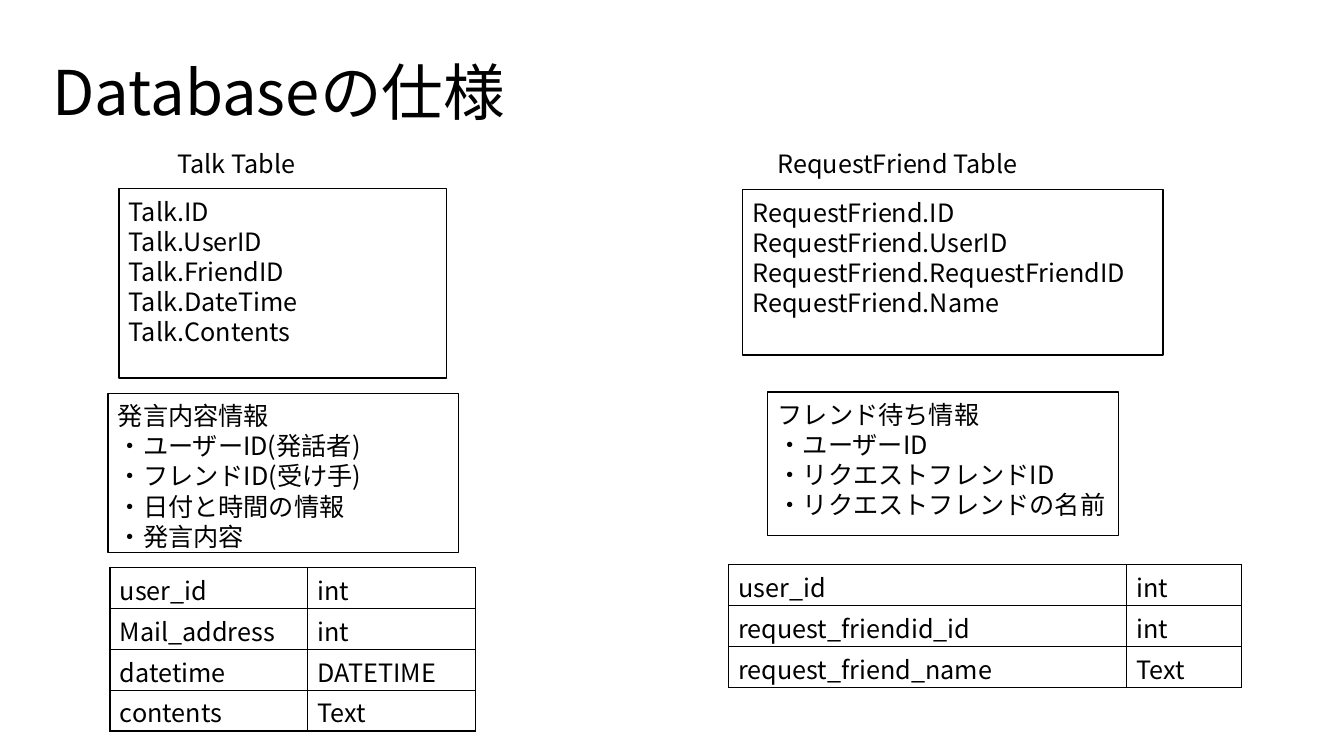
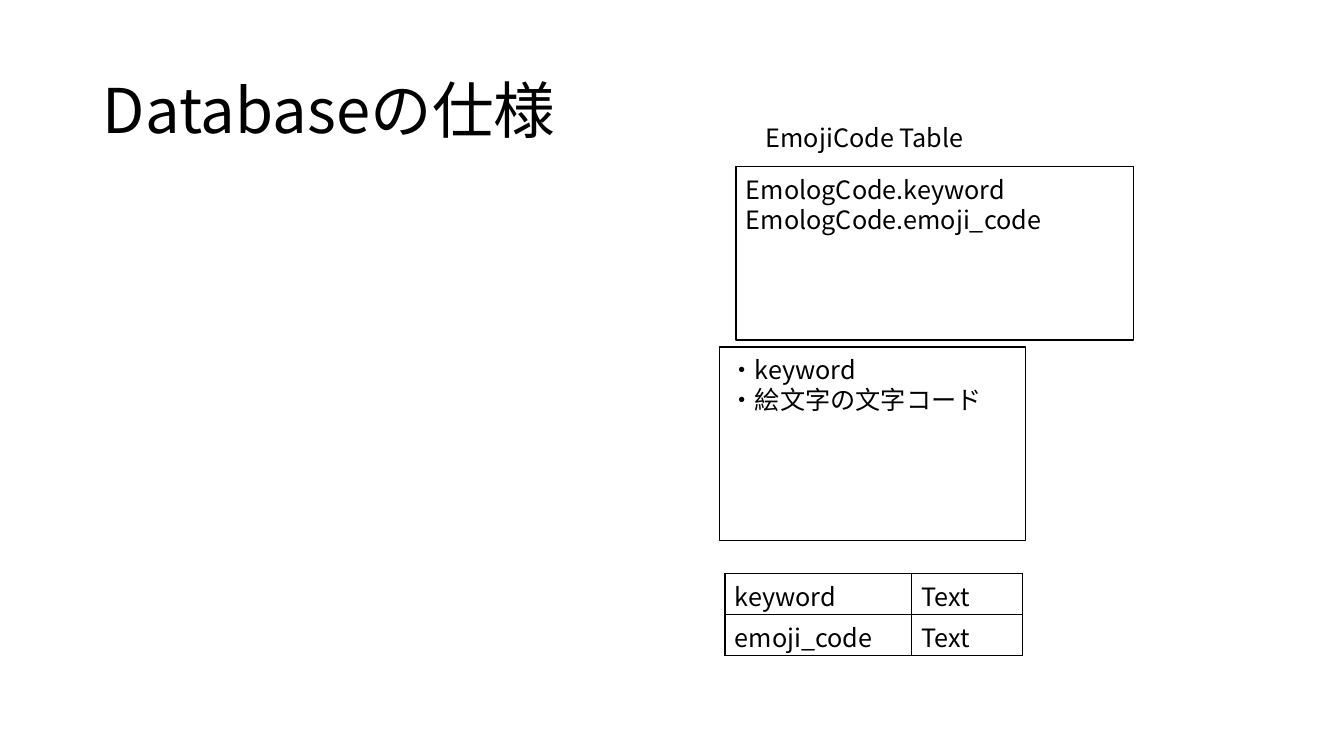
from dataclasses import dataclass

from lxml import etree
from pptx import Presentation
from pptx import util as u
from pptx.dml.color import RGBColor
from pptx.enum import shapes, text
from pptx.oxml.ns import qn

COLORS = {"ink": "000000", "paper": "FFFFFF"}
FONT = "Noto Sans CJK JP"
TITLE = "Databaseの仕様"
ROW_HEIGHT = 1.03
INSET = {"side": 0.25, "top": 0.19, "cell_top": 0.25}


@dataclass
class Entity:
    """One database table; boxes are left, top, width, height from its corner in cm."""
    name: str
    corner: tuple
    name_box: tuple
    fields_box: tuple
    fields: list
    details_box: tuple
    details: list
    schema_at: tuple
    columns: tuple
    schema: list


TALK = Entity(
    "Talk Table", (2.72, 3.56), (1.5, 0, 3.96, 1.02),
    (0.28, 1.19, 8.26, 4.78),
    ["Talk.ID", "Talk.UserID", "Talk.FriendID", "Talk.DateTime", "Talk.Contents"],
    (0, 6.35, 8.84, 4.01),
    ["発言内容情報", "・ユーザーID(発話者)", "・フレンドID(受け手)",
     "・日付と時間の情報", "・発言内容"],
    (0.05, 10.74), (4.98, 4.24),
    [("user_id", "int"), ("Mail_address", "int"),
     ("datetime", "DATETIME"), ("contents", "Text")])

REQUEST = Entity(
    "RequestFriend Table", (18.36, 3.56), (0.99, 0, 7.62, 1.02),
    (0.36, 1.22, 10.59, 4.17),
    ["RequestFriend.ID", "RequestFriend.UserID",
     "RequestFriend.RequestFriendID", "RequestFriend.Name"],
    (0.99, 6.32, 8.84, 3.61),
    ["フレンド待ち情報", "・ユーザーID", "・リクエストフレンドID",
     "・リクエストフレンドの名前"],
    (0, 10.67), (10.03, 2.9),
    [("user_id", "int"), ("request_friendid_id", "int"),
     ("request_friend_name", "Text")])

EMOJI = Entity(
    "EmojiCode Table", (18.14, 2.9), (0.91, 0, 7.72, 1.02),
    (0.41, 1.3, 10.01, 4.37),
    ["EmologCode.keyword", "EmologCode.emoji_code"],
    (0, 5.84, 7.7, 4.88),
    ["・keyword", "・絵文字の文字コード"],
    (0.13, 11.56), (4.7, 2.79),
    [("keyword", "Text"), ("emoji_code", "Text")])


def color(name):
    """Return a named colour."""
    return RGBColor.from_string(COLORS[name])


def lengths(box, corner=(0, 0)):
    """Turn a box relative to a corner into lengths."""
    left, top, *size = box
    return [u.Cm(value) for value in (left + corner[0], top + corner[1], *size)]


def write(frame, lines, size=18, spacing=u.Pt(21.5)):
    """Fill a text frame with one paragraph per line."""
    for index, line in enumerate(lines):
        para = frame.add_paragraph() if index else frame.paragraphs[0]
        para.alignment = text.PP_ALIGN.LEFT
        para.line_spacing = spacing
        span = para.add_run()
        span.text = line
        span.font.size = u.Pt(size)
        span.font.name = FONT
        span.font.color.rgb = color("ink")
        east = etree.SubElement(span.font._element, qn("a:ea"))
        east.set("typeface", FONT)


def set_insets(target, top):
    """Set the side and top insets of a frame or cell."""
    target.margin_left = target.margin_right = u.Cm(INSET["side"])
    target.margin_top = u.Cm(top)
    target.margin_bottom = 0


def add_title(slide, box):
    """Place and format the title placeholder."""
    title = slide.shapes.title
    title.left, title.top, title.width, title.height = lengths(box)
    frame = title.text_frame
    frame.auto_size = text.MSO_AUTO_SIZE.NONE
    frame.vertical_anchor = text.MSO_ANCHOR.MIDDLE
    write(frame, [TITLE], size=44, spacing=0.9)


def add_name(slide, corner, box, name):
    """Add the name above an entity."""
    frame = slide.shapes.add_textbox(*lengths(box, corner)).text_frame
    frame.word_wrap = True
    set_insets(frame, INSET["top"])
    write(frame, [name])


def add_list_box(slide, corner, box, lines):
    """Add an outlined rectangle holding lines of text."""
    panel = slide.shapes.add_shape(
        shapes.MSO_SHAPE.RECTANGLE, *lengths(box, corner))
    panel.shadow.inherit = False
    panel.fill.solid()
    panel.fill.fore_color.rgb = color("paper")
    panel.line.color.rgb = color("ink")
    panel.line.width = u.Pt(1)
    frame = panel.text_frame
    frame.word_wrap = True
    frame.vertical_anchor = text.MSO_ANCHOR.TOP
    set_insets(frame, INSET["top"])
    write(frame, lines)


def add_borders(cell):
    """Draw a thin line on every side of a cell."""
    properties = cell._tc.get_or_add_tcPr()
    for side in "LRTB":
        border = etree.SubElement(properties, qn(f"a:ln{side}"), w=str(u.Pt(1)))
        fill = etree.SubElement(border, qn("a:solidFill"))
        etree.SubElement(fill, qn("a:srgbClr"), val=COLORS["ink"])


def add_schema(slide, corner, place, columns, rows):
    """Add the table of column names and types."""
    box = (*place, sum(columns), ROW_HEIGHT * len(rows))
    table = slide.shapes.add_table(
        len(rows), len(columns), *lengths(box, corner)).table
    table.first_row = table.horz_banding = False
    for column, width in zip(table.columns, columns):
        column.width = u.Cm(width)
    for row, values in zip(table.rows, rows):
        row.height = u.Cm(ROW_HEIGHT)
        for cell, value in zip(row.cells, values):
            add_borders(cell)
            cell.fill.solid()
            cell.fill.fore_color.rgb = color("paper")
            set_insets(cell, INSET["cell_top"])
            write(cell.text_frame, [value])


def add_entity(slide, entity):
    """Place the name, fields, details and schema of an entity."""
    corner = entity.corner
    add_name(slide, corner, entity.name_box, entity.name)
    add_list_box(slide, corner, entity.fields_box, entity.fields)
    add_list_box(slide, corner, entity.details_box, entity.details)
    add_schema(slide, corner, entity.schema_at, entity.columns, entity.schema)


def add_page(deck, title_box, entities):
    """Add a slide with a title and its entities."""
    page = deck.slides.add_slide(deck.slide_layouts[5])
    add_title(page, title_box)
    for entity in entities:
        add_entity(page, entity)


def main():
    """Build and save the deck."""
    deck = Presentation()
    deck.slide_width, deck.slide_height = u.Cm(33.87), u.Cm(19.05)
    add_page(deck, (1.07, 0.56, 29.21, 3.68), [TALK, REQUEST])
    add_page(deck, (2.34, 1.02, 29.21, 3.68), [EMOJI])
    deck.save("out.pptx")


if __name__ == "__main__":
    main()
